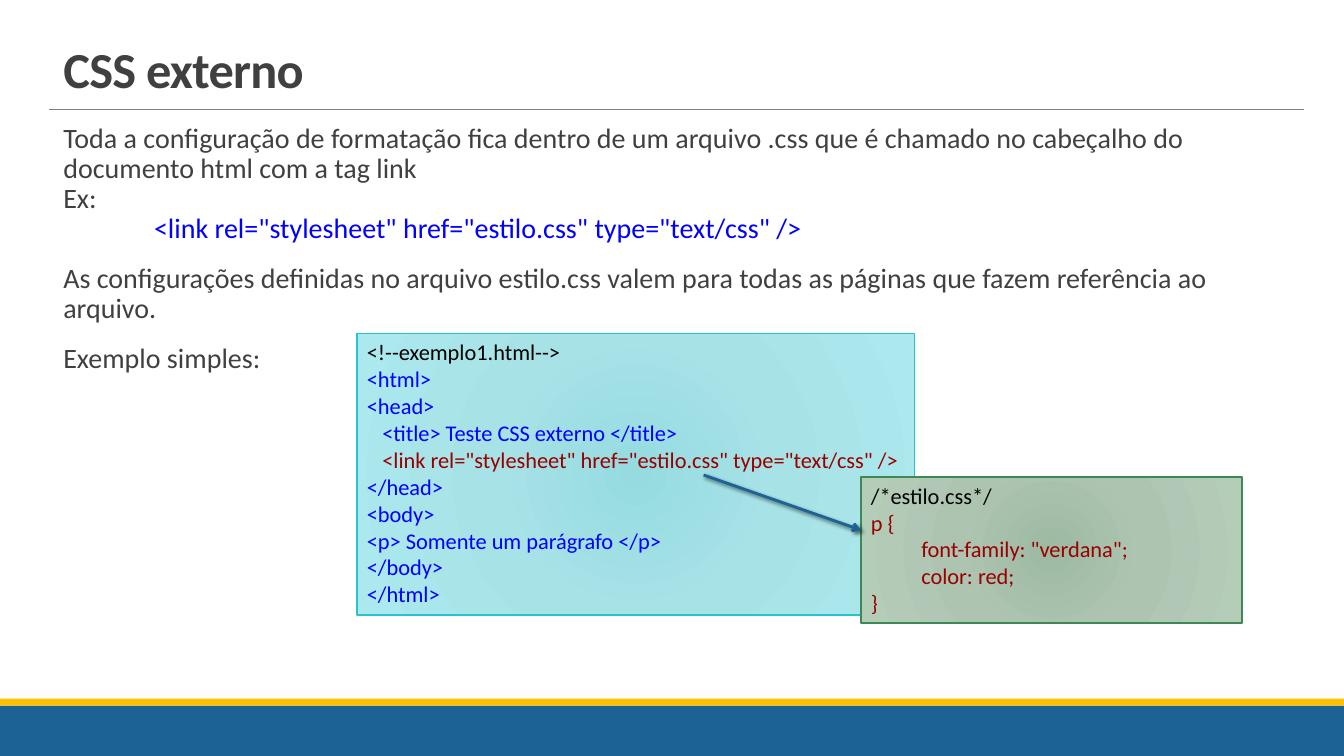
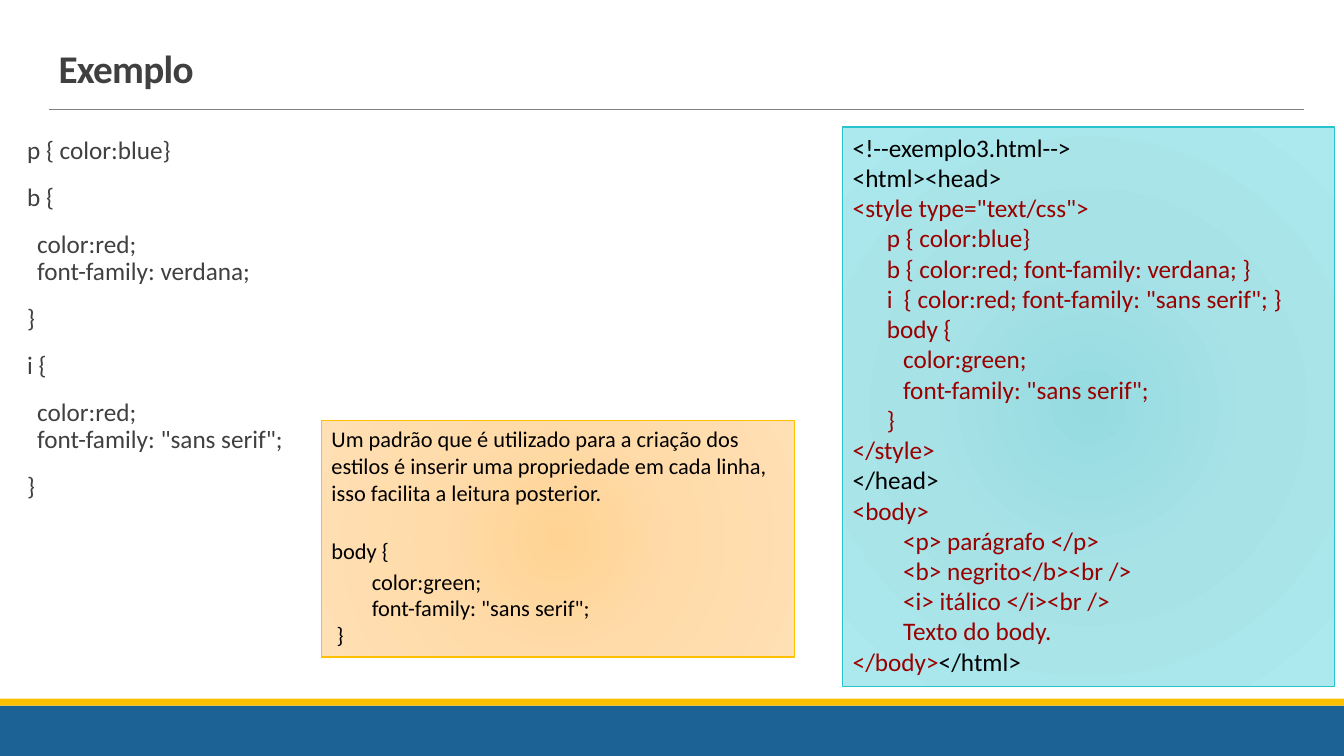
from pptx import Presentation
from pptx.dml.color import RGBColor
from pptx.enum import shapes, text
from pptx.oxml import parse_xml
from pptx.oxml import ns
from pptx.util import Pt

FONT = "Calibri"
HUES = {
    "band": "1C6294", "gold": "FFC000", "rule": "808080", "gray": "404040",
    "black": "000000", "blue": "0000FF", "red": "990000",
    "cyan": "28C4CC", "green": "3E8853",
}
# Gradient stops from the centre outwards, keyed by border colour
GLOWS = {
    "cyan": ("95DBE0", "A7E2E7", "ACE9EE"),
    "green": ("9DBAA3", "ADC4B1", "B4CDB9"),
    "gold": ("FFD393", "FFDBA9", "FFDFB4"),
}
WIDE, HIGH = 960, 540
LINK = '<link rel="stylesheet" href="estilo.css" type="text/css" />'


def rgb(hue):
    return RGBColor.from_string(HUES[hue])


def pts(*nums):
    return [Pt(n) for n in nums]


def xml(body):
    head, rest = body.split(">", 1) if not body.endswith("/>") else (body[:-2], None)
    tail = "/>" if rest is None else ">" + rest
    return parse_xml(f"{head} {ns.nsdecls('a')}{tail}")


def row(words, hue="black", left=0, gap=0):
    """One line of text: its runs, left margin and space before."""
    return [(words, hue)], left, gap


# Shared text setting
def add_run(par, words, size, hue):
    run = par.add_run()
    run.text = words
    run.font.name, run.font.size = FONT, Pt(size)
    run.font.color.rgb = rgb(hue)
    return run


def fill_text(frame, rows, size, pitch=1.0):
    frame.word_wrap = True
    frame.auto_size = text.MSO_AUTO_SIZE.NONE
    frame.vertical_anchor = text.MSO_ANCHOR.TOP
    for i, (runs, left, gap) in enumerate(rows):
        par = frame.add_paragraph() if i else frame.paragraphs[0]
        par.line_spacing = pitch
        par.space_before = Pt(gap)
        par._p.get_or_add_pPr().set("marL", str(Pt(left)))
        for words, hue in runs:
            add_run(par, words, size, hue)


# Bands and rule, moved from a slide to its layout so that all slides share them
def add_frame(slide):
    parts = []
    for top, high, hue in ((504, 36, "band"), (499, 5, "gold")):
        bar = slide.shapes.add_shape(shapes.MSO_SHAPE.RECTANGLE, *pts(0, top, WIDE, high))
        bar.shadow.inherit = False
        bar.fill.solid()
        bar.fill.fore_color.rgb = rgb(hue)
        bar.line.fill.background()
        parts.append(bar)
    rule = slide.shapes.add_connector(
        shapes.MSO_CONNECTOR.STRAIGHT, *pts(35.3, 77.8, 931.7, 77.8))
    rule.line.color.rgb, rule.line.width = rgb("rule"), Pt(0.5)
    rule.element.spPr.append(xml("<a:effectLst/>"))
    parts.append(rule)
    tree = slide.slide_layout.shapes.element
    for num, part in enumerate(parts, 20):
        part.element.xpath(".//p:cNvPr")[0].set("id", str(num))
        tree.append(part.element)


def add_title(slide, words, box, size):
    head = slide.shapes.title
    head.left, head.top, head.width, head.height = pts(*box)
    frame = head.text_frame
    frame.auto_size = text.MSO_AUTO_SIZE.NONE
    frame.vertical_anchor = text.MSO_ANCHOR.BOTTOM
    par = frame.paragraphs[0]
    par.alignment, par.line_spacing = text.PP_ALIGN.LEFT, 0.85
    run = add_run(par, words, size, "gray")
    run.font.bold = True
    run.font._element.set("spc", "-50")


def add_body(slide, box, rows, size):
    frame = slide.shapes.add_textbox(*pts(*box)).text_frame
    frame.margin_left = frame.margin_right = 0
    fill_text(frame, rows, size, 0.9)


# Glowing panel for code and notes
def add_panel(slide, box, hue, rows, size):
    panel = slide.shapes.add_textbox(*pts(*box))
    panel.fill.background()
    stops = "".join(
        f'<a:gs pos="{pos}000"><a:srgbClr val="{tint}"/></a:gs>'
        for pos, tint in zip((0, 45, 100), GLOWS[hue]))
    glow = xml(f'<a:gradFill><a:gsLst>{stops}</a:gsLst><a:path path="circle">'
               '<a:fillToRect l="100000" t="100000" r="100000" b="100000"/>'
               '</a:path></a:gradFill>')
    props = panel.element.spPr
    props.replace(props.find(ns.qn("a:noFill")), glow)
    panel.line.color.rgb, panel.line.width = rgb(hue), Pt(1)
    fill_text(panel.text_frame, rows, size)


def add_arrow(slide, start, end):
    arrow = slide.shapes.add_connector(
        shapes.MSO_CONNECTOR.STRAIGHT, *pts(*start, *end))
    arrow.line.color.rgb, arrow.line.width = rgb("band"), Pt(2)
    arrow.line._get_or_add_ln().append(xml('<a:tailEnd type="arrow"/>'))
    arrow.element.spPr.append(xml(
        f'<a:effectLst><a:outerShdw blurRad="{Pt(3)}" dist="{Pt(2)}" dir="2700000">'
        '<a:srgbClr val="000000"><a:alpha val="60000"/></a:srgbClr>'
        '</a:outerShdw></a:effectLst>'))


def link_slide(slide):
    add_title(slide, "CSS externo", (38, 28, 692, 46), 36)
    add_body(slide, (38, 85, 871, 388), [
        row("Toda a configuração de formatação fica dentro de um arquivo .css que é "
            "chamado no cabeçalho do documento html com a tag link", "gray", 7.2),
        row("Ex:", "gray", 7.2),
        row(LINK, "blue", 72),
        row("As configurações definidas no arquivo estilo.css valem para todas as "
            "páginas que fazem referência ao arquivo.", "gray", 7.2, 14),
        row("Exemplo simples:", "gray", 7.2, 14),
    ], 20)
    # Page, style sheet and the arrow between them
    page = (255, 238.3, 398.2, 201)
    sheet = (615, 340.6, 272.2, 104.4)
    add_panel(slide, page, "cyan", [
        row("<!--exemplo1.html-->"),
        row("<html>", "blue"),
        row("<head>", "blue"),
        row("<title> Teste CSS externo </title>", "blue", 11),
        row(LINK, "red", 11),
        row("</head>", "blue"),
        row("<body>", "blue"),
        row("<p> Somente um parágrafo </p>", "blue"),
        row("</body>", "blue"),
        row("</html>", "blue"),
    ], 16)
    add_panel(slide, sheet, "green", [
        row("/*estilo.css*/"),
        row("p {", "red"),
        row('font-family: "verdana";', "red", 36),
        row("color: red;", "red", 36),
        row("}", "red"),
    ], 16)
    add_arrow(slide, (page[0] + 247.6, page[1] + 101), (sheet[0], sheet[1] + 38))


def style_slide(slide):
    add_title(slide, "Exemplo", (34.6, 23, 692, 46), 28)
    rules = [row("p { color:blue}", "gray")]
    for tag, face in (("b", "verdana"), ("i", '"sans serif"')):
        rules += [
            row(tag + " {", "gray", 0, 14),
            row("color:red;", "gray", 7.2, 14),
            row(f"font-family: {face};", "gray", 7.2),
            row("}", "gray", 0, 14),
        ]
    add_body(slide, (19.4, 95, 692, 405), rules, 18)
    # Note on layout of rules
    add_panel(slide, (229.7, 300.2, 337.7, 169.2), "gold", [
        row("Um padrão que é utilizado para a criação dos estilos é inserir uma "
            "propriedade em cada linha, isso facilita a leitura posterior."),
        row("body {", gap=22),
        row("color:green;", left=28.8, gap=3),
        row('font-family: "sans serif";', left=28.8),
        row("}", left=3.6),
    ], 16)
    # Whole page
    add_panel(slide, (602, 90.7, 351.4, 399.6), "cyan", [
        row("<!--exemplo3.html-->"),
        row("<html><head>"),
        row('<style type="text/css">', "red"),
        row("p { color:blue}", "red", 24.4),
        row("b { color:red; font-family: verdana; }", "red", 24.4),
        row('i  { color:red; font-family: "sans serif"; }', "red", 24.4),
        row("body {", "red", 24.4),
        row("color:green;", "red", 36),
        row('font-family: "sans serif";', "red", 36),
        row("}", "red", 24.4),
        row("</style>", "red"),
        row("</head>"),
        row("<body>", "red"),
        row("<p> parágrafo </p>", "red", 36),
        row("<b> negrito</b><br />", "red", 36),
        row("<i> itálico </i><br />", "red", 36),
        row("Texto do body.", "red", 36),
        ([("</body>", "red"), ("</html>", "black")], 0, 0),
    ], 18)


def main():
    deck = Presentation()
    deck.slide_width, deck.slide_height = pts(WIDE, HIGH)
    plain = deck.slide_layouts[5]
    first, second = (deck.slides.add_slide(plain) for _ in range(2))
    add_frame(first)
    link_slide(first)
    style_slide(second)
    deck.save("out.pptx")


if __name__ == "__main__":
    main()
